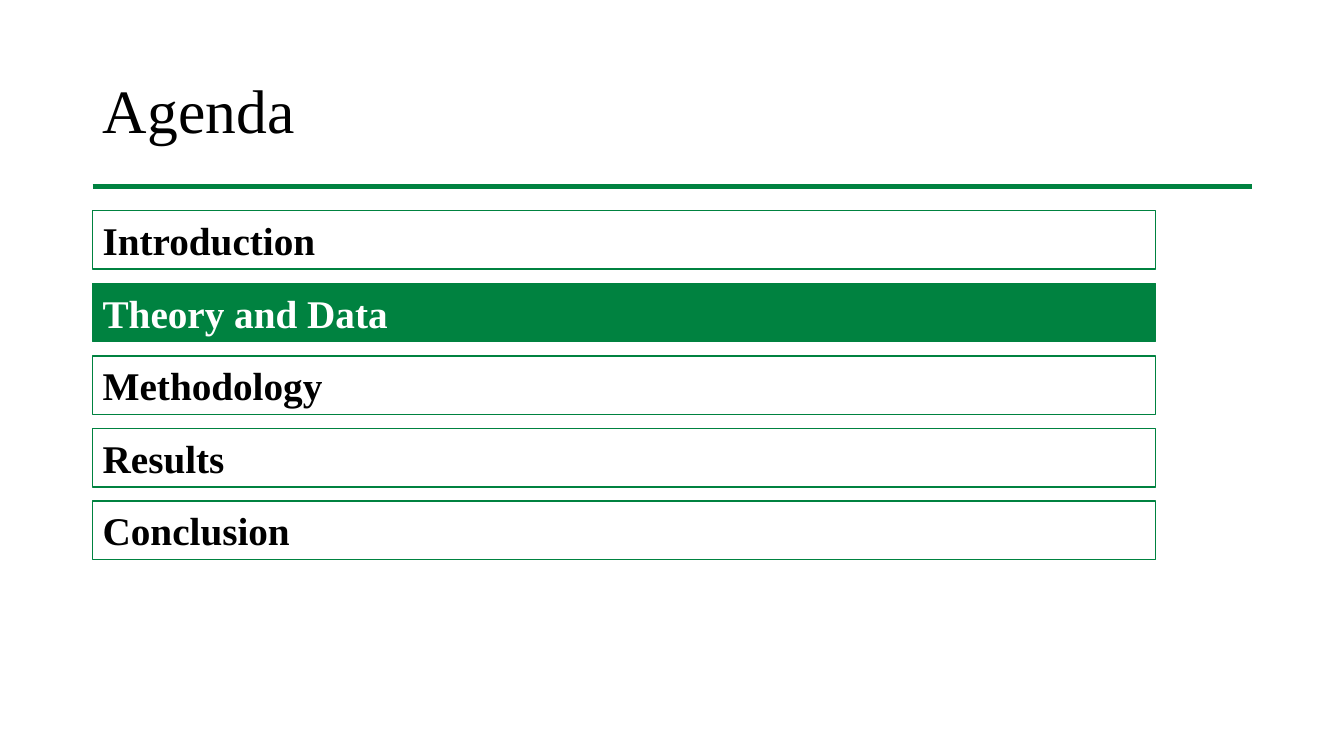
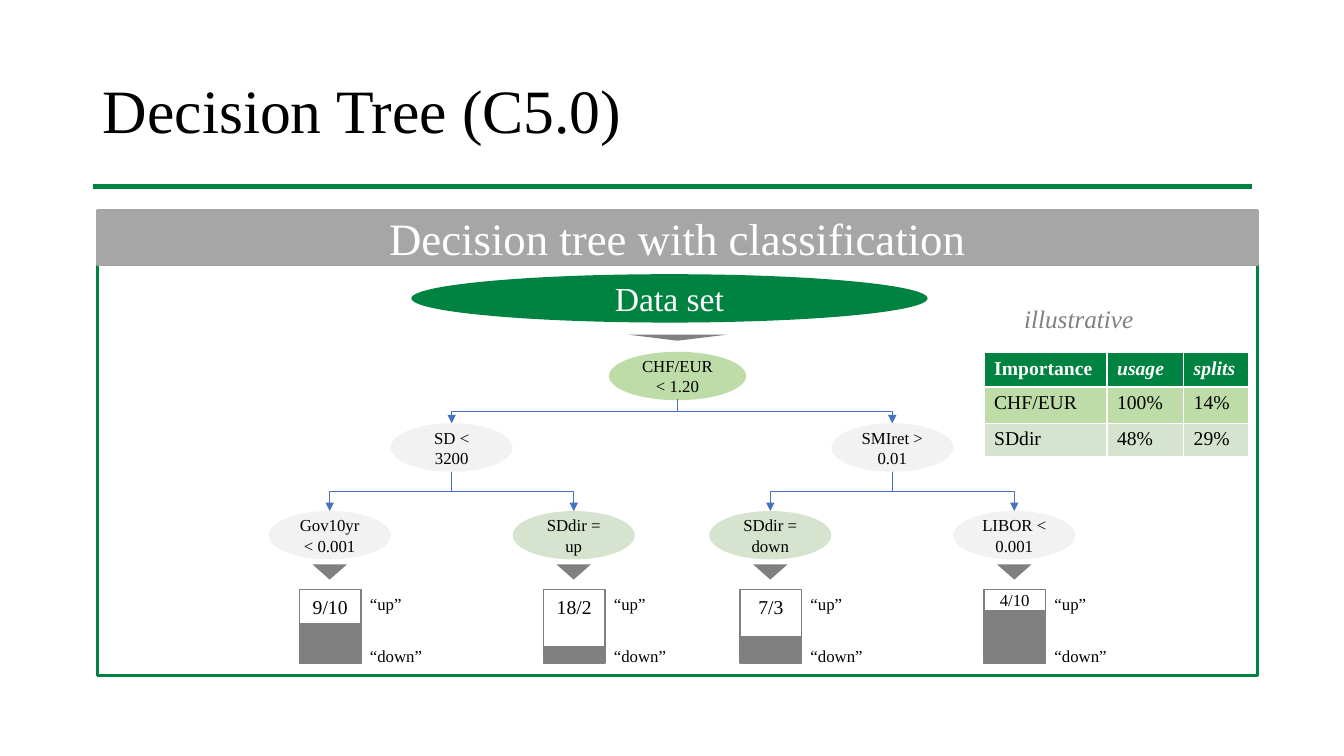
from lxml.etree import SubElement
from pptx import Presentation
from pptx.dml.color import RGBColor
from pptx.enum.shapes import MSO_CONNECTOR, MSO_SHAPE
from pptx.enum.text import MSO_ANCHOR, MSO_AUTO_SIZE, PP_ALIGN
from pptx.oxml.ns import qn
from pptx.util import Inches, Pt

FONT = "Times New Roman"
GREEN, LIGHT_GREEN, PALE_GREEN = "008240", "BDDCA8", "D5E3CF"
GREY, BAND_GREY, PALE_GREY = "808080", "A6A6A6", "F2F2F2"
BLACK, WHITE, BLUE = "000000", "FFFFFF", "4472C4"


def paint(color_format, color):
    color_format.rgb = RGBColor.from_string(color)


def inches(*lengths):
    return [Inches(length) for length in lengths]


class Slides:
    def __init__(self):
        self.deck = Presentation()
        self.deck.slide_width, self.deck.slide_height = inches(13.33, 7.5)
        self.page = None

    def text(self, frame, words, size, color=BLACK, align=PP_ALIGN.LEFT, **styles):
        para = frame.paragraphs[0]
        para.alignment = align
        span = para.add_run()
        span.text = words
        for name, value in {"name": FONT, "size": Pt(size), **styles}.items():
            setattr(span.font, name, value)
        paint(span.font.color, color)
        return para

    def start(self, title):
        self.page = self.deck.slides.add_slide(self.deck.slide_layouts[5])
        box = self.page.shapes.title
        box.left, box.top, box.width, box.height = inches(0.92, 0.4, 11.5, 1.45)
        frame = box.text_frame
        frame.auto_size = MSO_AUTO_SIZE.NONE
        frame.vertical_anchor = MSO_ANCHOR.MIDDLE
        self.text(frame, title, 44).line_spacing = 0.9
        self.line(MSO_CONNECTOR.STRAIGHT, (0.92, 1.85, 12.42, 1.85), GREEN, 3.5)

    def line(self, kind, ends, color, weight):
        line = self.page.shapes.add_connector(kind, *inches(*ends))
        paint(line.line.color, color)
        line.line.width = Pt(weight)
        SubElement(line.element.spPr, qn("a:effectLst"))
        return line

    def branch(self, start_x, start_y, end_x, end_y):
        middle_x, middle_y = (start_x + end_x) / 2, (start_y + end_y) / 2
        rightward = end_x > start_x
        lean = (end_y - start_y) / 2 * (1 if rightward else -1)
        reach = abs(end_x - start_x) / 2
        ends = (middle_x + lean, middle_y - reach, middle_x - lean, middle_y + reach)
        line = self.line(MSO_CONNECTOR.ELBOW, ends, BLUE, 0.5)
        properties = line.element.spPr
        properties.find(qn("a:xfrm")).set("rot", str((270 if rightward else 90) * 60000))
        SubElement(properties.find(qn("a:ln")), qn("a:tailEnd"), type="triangle")

    def shape(self, kind, at, fill=None, outline=None, weight=1, anchor=MSO_ANCHOR.MIDDLE):
        shape = self.page.shapes.add_shape(kind, *inches(*at))
        shape.shadow.inherit = False
        if fill:
            shape.fill.solid()
            paint(shape.fill.fore_color, fill)
        else:
            shape.fill.background()
        if outline:
            paint(shape.line.color, outline)
            shape.line.width = Pt(weight)
        else:
            shape.line.fill.background()
        shape.text_frame.vertical_anchor = anchor
        return shape

    def node(self, words, center, top, fill, width=1.21, size=12, color=BLACK):
        at = (center - width / 2, top, width, 0.48)
        oval = self.shape(MSO_SHAPE.OVAL, at, fill)
        self.text(oval.text_frame, words, size, color, PP_ALIGN.CENTER)

    def pointer(self, center, top, width, height):
        at = (center - width / 2, top, width, height)
        self.shape(MSO_SHAPE.ISOSCELES_TRIANGLE, at, GREY).rotation = 180

    def label(self, words, at, size=12, color=BLACK, **styles):
        frame = self.page.shapes.add_textbox(*inches(*at)).text_frame
        frame.word_wrap = True
        frame.auto_size = MSO_AUTO_SIZE.SHAPE_TO_FIT_TEXT
        self.text(frame, words, size, color, **styles)

    def split_bar(self, center, ratio, up_height):
        left, top, width, height = center - 0.3, 5.85, 0.61, 0.73
        small = up_height < 0.3
        anchor = MSO_ANCHOR.MIDDLE if small else MSO_ANCHOR.TOP
        up_at = (left, top, width, up_height)
        up = self.shape(MSO_SHAPE.RECTANGLE, up_at, WHITE, GREY, anchor=anchor)
        self.text(up.text_frame, ratio, 12 if small else 14, align=PP_ALIGN.CENTER)
        down_at = (left, top + up_height, width, height - up_height)
        self.shape(MSO_SHAPE.RECTANGLE, down_at, GREY, GREY)
        for words, label_top in (("“up”", 5.84), ("“down”", 6.36)):
            self.label(words, (left + 0.6, label_top, 0.82, 0.3))

    def table(self, at, widths, heights, rows, fills):
        table = self.page.shapes.add_table(len(rows), len(widths), *inches(*at)).table
        table.horz_banding = False
        for column, width in zip(table.columns, widths):
            column.width = Inches(width)
        for row, height in zip(table.rows, heights):
            row.height = Inches(height)
        for row_index, (entries, fill) in enumerate(zip(rows, fills)):
            head = row_index == 0
            for column_index, words in enumerate(entries):
                cell = table.cell(row_index, column_index)
                cell.fill.solid()
                paint(cell.fill.fore_color, fill)
                self.text(cell.text_frame, words, 14, WHITE if head else BLACK,
                          bold=head, italic=head and column_index > 0)


def build_agenda(slides):
    slides.start("Agenda")
    topics = ("Introduction", "Theory and Data", "Methodology", "Results", "Conclusion")
    for index, topic in enumerate(topics):
        current = topic == "Theory and Data"
        at = (0.92, 2.09 + index * 0.72, 10.54, 0.58)
        box = slides.shape(MSO_SHAPE.RECTANGLE, at, GREEN if current else None, GREEN)
        slides.text(box.text_frame, topic, 28, WHITE if current else BLACK, bold=True)


def build_tree(slides):
    slides.start("Decision Tree (C5.0)")
    slides.shape(MSO_SHAPE.RECTANGLE, (0.97, 2.63, 11.5, 4.07), None, GREEN, 2)
    band = slides.shape(MSO_SHAPE.RECTANGLE, (0.97, 2.09, 11.5, 0.54), BAND_GREY, BAND_GREY, 2)
    slides.text(band.text_frame, "Decision tree with classification", 32, WHITE, PP_ALIGN.CENTER)

    root_x = 6.72
    slides.node("Data set", 6.64, 2.72, GREEN, 5.12, 24, WHITE)
    slides.pointer(root_x, 3.32, 0.98, 0.06)
    slides.node("CHF/EUR < 1.20", root_x, 3.49, LIGHT_GREEN, 1.36)

    branches = (
        ("SD < 3200", 4.48, (
            ("Gov10yr < 0.001", PALE_GREY, "9/10", 0.34),
            ("SDdir = up", PALE_GREEN, "18/2", 0.57))),
        ("SMIret > 0.01", 8.85, (
            ("SDdir = down", PALE_GREEN, "7/3", 0.47),
            ("LIBOR < 0.001", PALE_GREY, "4/10", 0.21))),
    )
    for rule, branch_x, leaves in branches:
        slides.node(rule, branch_x, 4.2, PALE_GREY)
        slides.branch(root_x, 3.96, branch_x, 4.2)
        for side, (leaf, fill, ratio, up_height) in zip((-1, 1), leaves):
            leaf_x = branch_x + side * 1.21
            slides.node(leaf, leaf_x, 5.07, fill)
            slides.branch(branch_x, 4.68, leaf_x, 5.07)
            slides.pointer(leaf_x, 5.6, 0.34, 0.15)
            slides.split_bar(leaf_x, ratio, up_height)

    slides.label("illustrative", (10.06, 2.96, 1.34, 0.4), 18, GREY, italic=True)
    rows = (
        ("Importance", "usage", "splits"),
        ("CHF/EUR", "100%", "14%"),
        ("SDdir", "48%", "29%"),
    )
    slides.table((9.76, 3.5, 2.62, 1.03), (1.22, 0.76, 0.64), (0.34, 0.36, 0.33),
                 rows, (GREEN, LIGHT_GREEN, PALE_GREEN))


def main():
    slides = Slides()
    build_agenda(slides)
    build_tree(slides)
    slides.deck.save("out.pptx")


if __name__ == "__main__":
    main()
